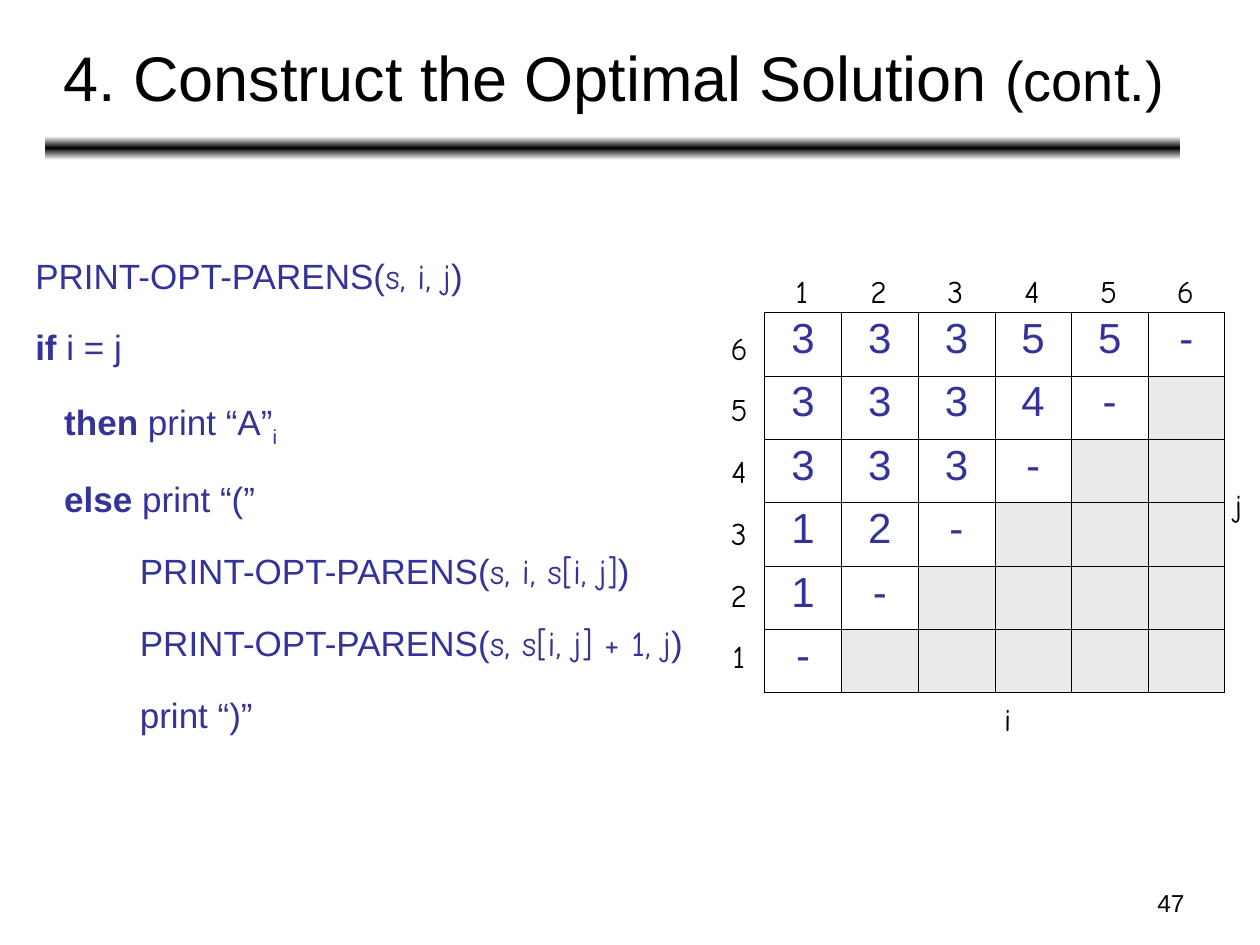
"""Build the slide on constructing the optimal solution."""
from pptx import Presentation
from pptx import util as u
from pptx.dml.color import RGBColor
from pptx.enum import shapes, text
from pptx.oxml import parse_xml
from pptx.oxml.ns import nsdecls

HUES = {"ink": "000000", "code": "333399", "gray": "EAEAEA", "page": "FFFFFF"}
SANS, HAND = "Arial", "Comic Neue"
TITLE = [("4. Construct the Optimal Solution ", 36), ("(cont.)", 32)]
STEPS = [0, 0.23, 0.83]
CALL = "PRINT-OPT-PARENS("
CODE = [
    (0, [(CALL, ""), ("s, i, j", "hand"), (")", "")]),
    (0, [("if", "bold"), (" i = j", "")]),
    (1, [("then", "bold"), (" print “A”", ""), ("i", "sub")]),
    (1, [("else", "bold"), (" print “(”", "")]),
    (2, [(CALL, ""), ("s, i, s[i, j]", "hand"), (")", "")]),
    (2, [(CALL, ""), ("s, s[i, j] + 1, j", "hand"), (")", "")]),
    (2, [("print “)”", "")]),
]
ROWS = ["33355-", "3334-", "333-", "12-", "1-", "-"]
SIZE = len(ROWS)
LEFT, TOP, WIDE, HIGH = 6.07, 2.48, 3.65, 3.02
MID = text.PP_ALIGN.CENTER


def box(*at):
    return [u.Inches(n) for n in at]


def add_run(para, words, size, hue="ink", face=SANS):
    run = para.add_run()
    run.text = words
    font = run.font
    font.size, font.name = u.Pt(size), face
    font.color.rgb = RGBColor.from_string(HUES[hue])
    return run


def place(shape, *at):
    shape.left, shape.top, shape.width, shape.height = box(*at)


def label(slide, words, at, size=18, face=HAND, align=MID, wrap=False):
    frame = slide.shapes.add_textbox(*box(*at)).text_frame
    frame.word_wrap = wrap
    para = frame.paragraphs[0]
    para.alignment = align
    add_run(para, words, size, face=face)


def add_title(slide):
    title = slide.shapes.title
    place(title, 0.37, 0.11, 9, 0.99)
    frame = title.text_frame
    frame.margin_left = frame.margin_right = 0
    frame.vertical_anchor = text.MSO_ANCHOR.MIDDLE
    para = frame.paragraphs[0]
    para.alignment = MID
    for words, size in TITLE:
        add_run(para, words, size)


def add_rule(slide):
    bar = slide.shapes.add_shape(
        shapes.MSO_SHAPE.ROUNDED_RECTANGLE, *box(0.36, 1.08, 9.01, 0.19))
    bar.shadow.inherit = False
    bar.line.fill.background()
    stops = "".join(
        f'<a:gs pos="{pos}"><a:srgbClr val="{HUES[hue]}"/></a:gs>'
        for pos, hue in [(0, "page"), (50000, "ink"), (100000, "page")])
    bar._element.spPr.find("{*}prstGeom").addnext(parse_xml(
        f'<a:gradFill {nsdecls("a")}><a:gsLst>{stops}</a:gsLst>'
        '<a:lin ang="5400000" scaled="0"/></a:gradFill>'))


def add_code(slide):
    body = slide.placeholders[1]
    place(body, 0.18, 1.8, 8, 5.23)
    frame = body.text_frame
    frame.auto_size = text.MSO_AUTO_SIZE.NONE
    for num, (step, parts) in enumerate(CODE):
        para = frame.add_paragraph() if num else frame.paragraphs[0]
        props = para._p.get_or_add_pPr()
        props.set("marL", str(u.Inches(STEPS[step])))
        props.set("indent", "0")
        props.append(parse_xml(f'<a:buNone {nsdecls("a")}/>'))
        para.line_spacing = 1.5
        para.space_before = u.Pt(5 if num else 0)
        for words, kind in parts:
            face = HAND if kind == "hand" else SANS
            run = add_run(para, words, 20, "code", face)
            if kind == "bold":
                run.font.bold = True
            if kind == "sub":
                run._r.get_or_add_rPr().set("baseline", "-25000")


def add_edges(cell, row, col):
    last = SIZE - 1
    outer = {"L": col == 0, "R": col == last, "T": row == 0, "B": row == last}
    props = cell._tc.get_or_add_tcPr()
    for side, edge in outer.items():
        wide = u.Pt(0.5 if edge else 0.23)
        props.append(parse_xml(
            f'<a:ln{side} {nsdecls("a")} w="{wide}"><a:solidFill>'
            f'<a:srgbClr val="{HUES["ink"]}"/></a:solidFill></a:ln{side}>'))


def add_grid(slide):
    grid = slide.shapes.add_table(
        SIZE, SIZE, *box(LEFT, TOP, WIDE, HIGH)).table
    for row, marks in enumerate(ROWS):
        for col in range(SIZE):
            cell = grid.cell(row, col)
            add_edges(cell, row, col)
            cell.fill.solid()
            hue = "page" if col < len(marks) else "gray"
            cell.fill.fore_color.rgb = RGBColor.from_string(HUES[hue])
            if col < len(marks):
                para = cell.text_frame.paragraphs[0]
                para.alignment = MID
                para.line_spacing = 0.93
                add_run(para, marks[col], 24, "code")


def add_axes(slide):
    for num in range(SIZE):
        across, down = num * WIDE / SIZE, num * 0.49
        label(slide, str(num + 1), (LEFT + 0.13 + across, 2.11, 0.33, 0.4))
        label(slide, str(SIZE - num), (5.7, TOP + 0.08 + down, 0.33, 0.4))
    label(slide, "i", (7.87, 5.51, 0.25, 0.4))
    label(slide, "j", (9.7, 3.81, 0.3, 0.4), align=text.PP_ALIGN.LEFT)


def main():
    deck = Presentation()
    deck.slide_width, deck.slide_height = box(10, 7.5)
    slide = deck.slides.add_slide(deck.slide_layouts[1])
    add_rule(slide)
    add_title(slide)
    add_grid(slide)
    add_axes(slide)
    add_code(slide)
    label(slide, "47", (7.17, 7, 2.33, 0.35), 14, SANS,
          text.PP_ALIGN.RIGHT, True)
    deck.save("out.pptx")


if __name__ == "__main__":
    main()
